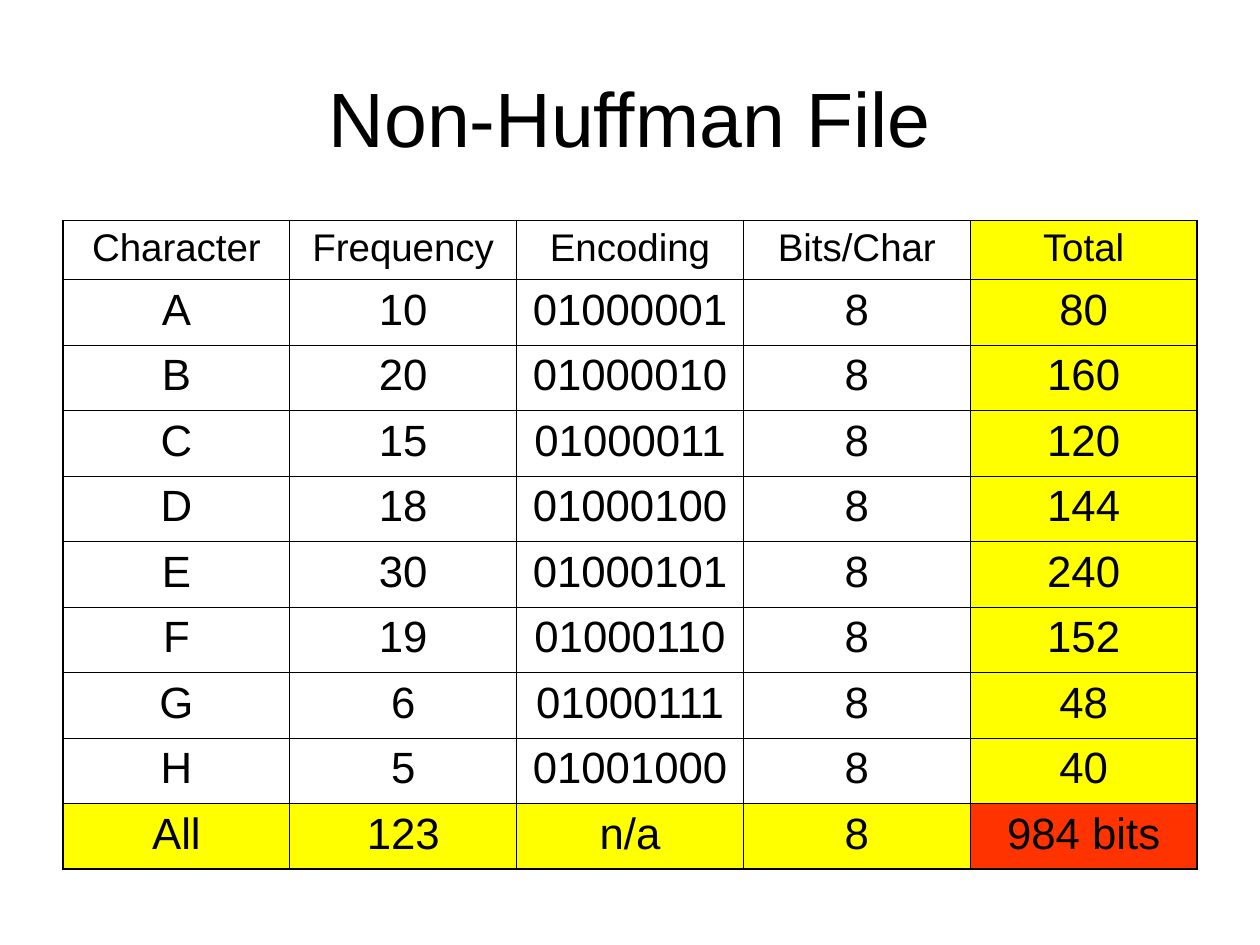
from lxml import etree
from pptx import Presentation
from pptx.dml.color import RGBColor
from pptx.enum import text
from pptx.oxml import ns
from pptx.util import Inches, Pt

TITLE = "Non-Huffman File"
ROWS = [
    ("Character", "Frequency", "Encoding", "Bits/Char", "Total"),
    ("A", "10", "01000001", "8", "80"),
    ("B", "20", "01000010", "8", "160"),
    ("C", "15", "01000011", "8", "120"),
    ("D", "18", "01000100", "8", "144"),
    ("E", "30", "01000101", "8", "240"),
    ("F", "19", "01000110", "8", "152"),
    ("G", "6", "01000111", "8", "48"),
    ("H", "5", "01001000", "8", "40"),
    ("All", "123", "n/a", "8", "984 bits"),
]
COLORS = {"ink": "000000", "paper": "FFFFFF", "total": "FFFF00", "grand_total": "FF3300"}
FONT = "Arial"
LEFT, WIDTH = 0.5, 9
TABLE_TOP = 1.75
HEADER_HEIGHT, ROW_HEIGHT = 0.47, 0.52
HEADER_SIZE, BODY_SIZE = 22, 25
OUTER_LINE, INNER_LINE = 1.08, 0.45


def write(frame, words, size):
    para = frame.paragraphs[0]
    para.text = words
    para.alignment = text.PP_ALIGN.CENTER
    para.font.name = FONT
    para.font.size = Pt(size)
    para.font.color.rgb = RGBColor.from_string(COLORS["ink"])


def add_borders(cell, outer_sides):
    """Draw all four cell borders, heavier where outer_sides is true (left, right, top, bottom)."""
    properties = cell._tc.get_or_add_tcPr()
    for side, outer in zip("LRTB", outer_sides):
        width = Pt(OUTER_LINE if outer else INNER_LINE)
        line = etree.SubElement(properties, ns.qn(f"a:ln{side}"), w=str(width))
        fill = etree.SubElement(line, ns.qn("a:solidFill"))
        etree.SubElement(fill, ns.qn("a:srgbClr"), val=COLORS["ink"])


def add_title(page):
    box = page.shapes.add_textbox(Inches(LEFT), Inches(0.3), Inches(WIDTH), Inches(1.25))
    box.text_frame.word_wrap = True
    box.text_frame.vertical_anchor = text.MSO_ANCHOR.MIDDLE
    write(box.text_frame, TITLE, 44)


def add_frequency_table(page):
    last_row, last_column = len(ROWS) - 1, len(ROWS[0]) - 1
    height = HEADER_HEIGHT + last_row * ROW_HEIGHT
    table = page.shapes.add_table(
        len(ROWS), len(ROWS[0]),
        Inches(LEFT), Inches(TABLE_TOP), Inches(WIDTH), Inches(height),
    ).table
    table.first_row = table.horz_banding = False
    for r, values in enumerate(ROWS):
        table.rows[r].height = Inches(ROW_HEIGHT if r else HEADER_HEIGHT)
        for c, value in enumerate(values):
            cell = table.cell(r, c)
            write(cell.text_frame, value, BODY_SIZE if r else HEADER_SIZE)
            add_borders(cell, (c == 0, c == last_column, r == 0, r == last_row))
            totals = (r == last_row) + (c == last_column)
            color = COLORS[("paper", "total", "grand_total")[totals]]
            cell.fill.solid()
            cell.fill.fore_color.rgb = RGBColor.from_string(color)


def main():
    deck = Presentation()
    deck.slide_width, deck.slide_height = Inches(10), Inches(7.5)
    page = deck.slides.add_slide(deck.slide_layouts[6])
    add_title(page)
    add_frequency_table(page)
    deck.save("out.pptx")


if __name__ == "__main__":
    main()
